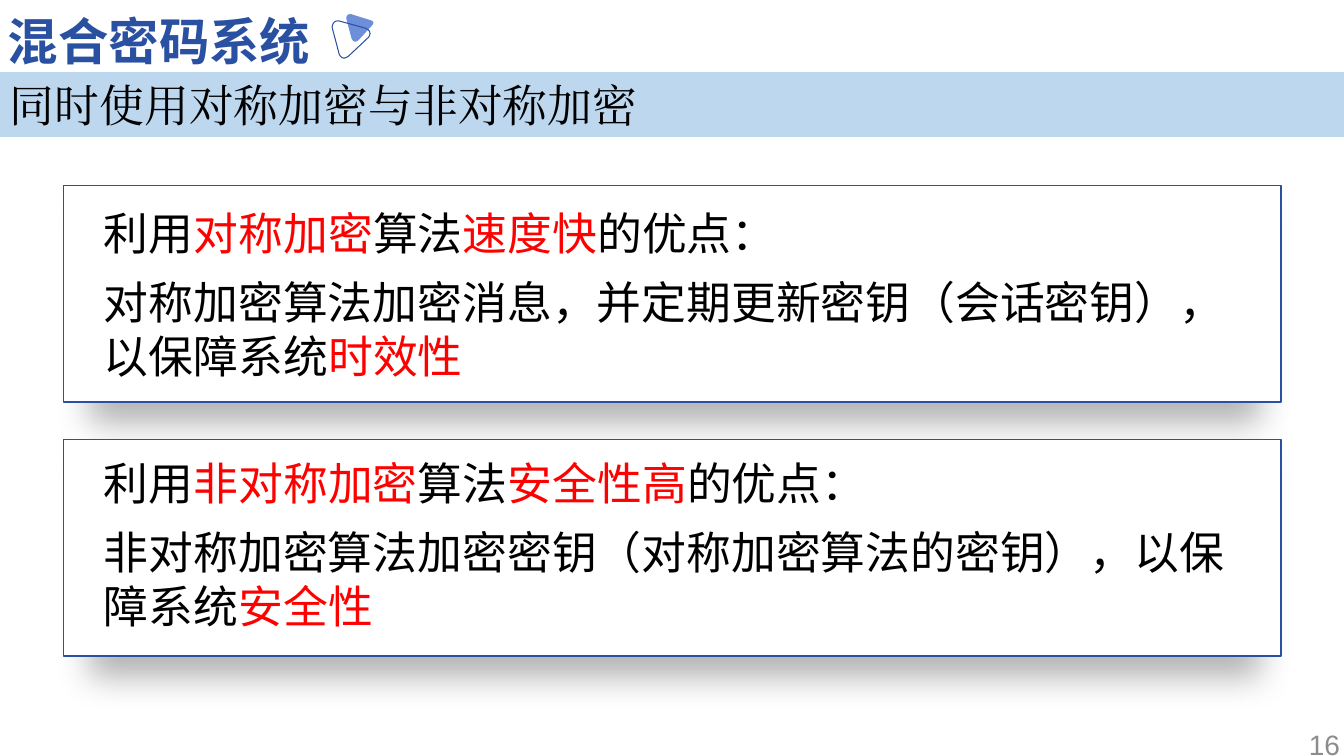
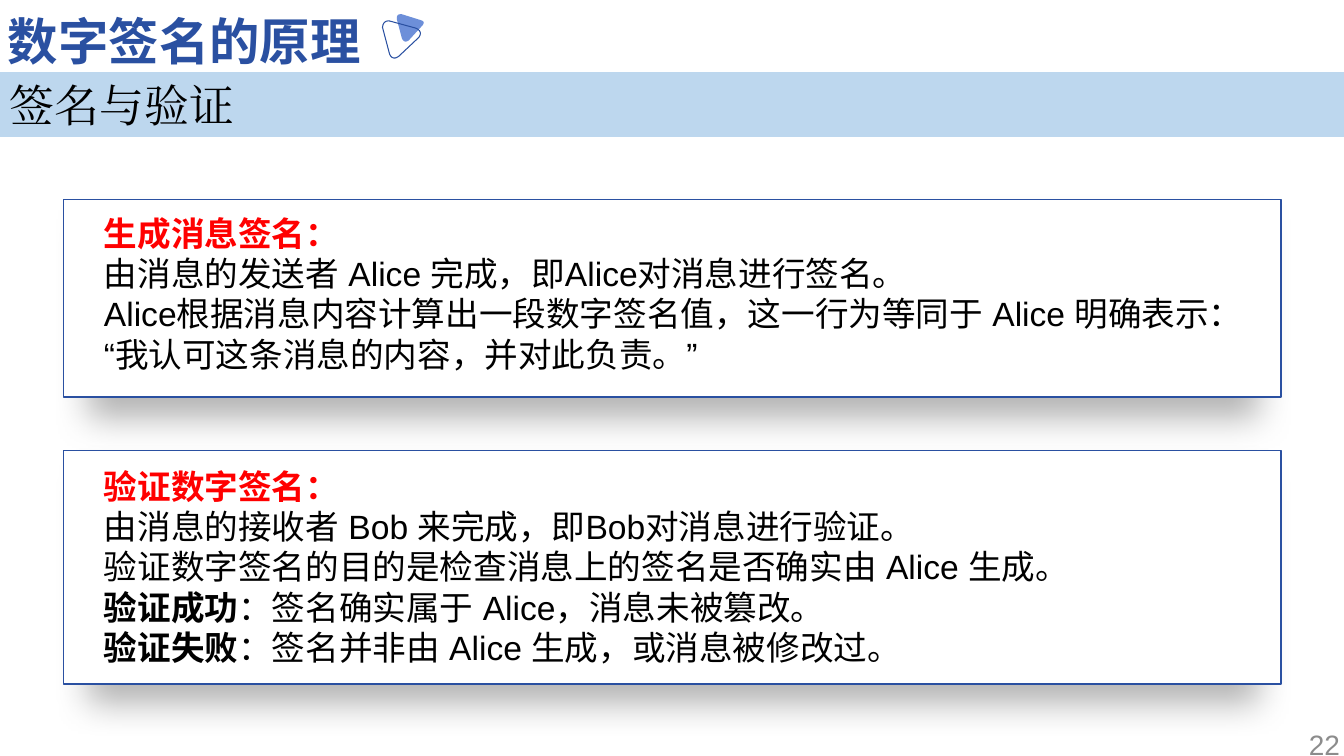
from dataclasses import dataclass
from typing import NamedTuple

from lxml import etree
from pptx import Presentation
from pptx import util as u
from pptx.dml.color import RGBColor
from pptx.enum import shapes, text
from pptx.oxml import ns

COLORS = {
    "title": "2A50A1",
    "accent": "6D8FD9",
    "band": "BDD7EE",
    "card": "FFFFFF",
    "body": "000000",
    "key": "FF0000",
    "number": "8C8C8C",
    "shadow": "000000",
}
SANS, SERIF = "Arial", "Times New Roman"
SLIDE_W, SLIDE_H = 33.87, 19.05
CARD_X, CARD_W, CARD_PAD = 1.6, 30.68, 1.02
TITLE_X, TITLE_CHAR = 0.2, 1.27

# Rounded triangles of the title mark: start, apex and end of each corner (cm)
Point = tuple[float, float]
Corner = tuple[Point, Point, Point]
MARK_FILLED: list[Corner] = [
    ((0.91, 1.02), (0.80, 1.10), (0.74, 0.97)),
    ((0.61, 0.48), (0.60, 0.34), (0.74, 0.36)),
    ((1.22, 0.51), (1.35, 0.55), (1.24, 0.66)),
]
MARK_OUTLINE: list[Corner] = [
    ((0.66, 1.42), (0.51, 1.53), (0.43, 1.37)),
    ((0.25, 0.69), (0.27, 0.51), (0.43, 0.53)),
    ((1.09, 0.71), (1.27, 0.79), (1.17, 0.94)),
]


class Run(NamedTuple):
    text: str
    color: str = "body"
    bold: bool = False


Para = list[Run]


@dataclass
class Card:
    top: float
    height: float
    pad_top: float
    size: int
    paras: list[Para]
    gap: float = 0


@dataclass
class Page:
    number: int
    title: str
    subtitle: str
    cards: list[Card]


def rgb(name: str) -> RGBColor:
    return RGBColor.from_string(COLORS[name])


def add_run(p, run: Run, size: float, font: str) -> None:
    r = p.add_run()
    r.text = run.text
    r.font.size = u.Pt(size)
    r.font.name = font
    r.font.bold = run.bold
    r.font.color.rgb = rgb(run.color)
    rpr = r.font._element
    rpr.set("lang", "zh-CN")
    latin = rpr.find(ns.qn("a:latin"))
    east = etree.Element(ns.qn("a:ea"), typeface=font)
    latin.addnext(east)


def fill_text(tf, paras: list[Para], size: float, font: str = SANS,
              gap: float = 0, align=text.PP_ALIGN.LEFT) -> None:
    tf.word_wrap = True
    for i, runs in enumerate(paras):
        p = tf.add_paragraph() if i else tf.paragraphs[0]
        p.alignment = align
        if i and gap:
            p.space_before = u.Pt(gap)
        for run in runs:
            add_run(p, run, size, font)


def add_text(s, x: float, y: float, w: float, h: float,
             paras: list[Para], size: float, **style) -> None:
    tf = s.shapes.add_textbox(u.Cm(x), u.Cm(y), u.Cm(w), u.Cm(h)).text_frame
    tf.margin_left = tf.margin_right = tf.margin_top = tf.margin_bottom = 0
    fill_text(tf, paras, size, **style)


def add_rect(s, x: float, y: float, w: float, h: float, fill: str):
    sp = s.shapes.add_shape(shapes.MSO_SHAPE.RECTANGLE,
                            u.Cm(x), u.Cm(y), u.Cm(w), u.Cm(h))
    sp.shadow.inherit = False
    sp.fill.solid()
    sp.fill.fore_color.rgb = rgb(fill)
    sp.line.fill.background()
    return sp


def set_line(sp, width: float) -> None:
    sp.line.color.rgb = rgb("title")
    sp.line.width = u.Pt(width)


def add_soft_shadow(sp) -> None:
    effects = sp._element.spPr.find(ns.qn("a:effectLst"))
    shadow = etree.SubElement(
        effects, ns.qn("a:outerShdw"), blurRad=str(u.Pt(25)),
        dist=str(u.Pt(16)), dir="5400000", sx="96000", sy="96000",
        algn="ctr", rotWithShape="0")
    color = etree.SubElement(shadow, ns.qn("a:srgbClr"), val=COLORS["shadow"])
    etree.SubElement(color, ns.qn("a:alpha"), val="30000")


def corner_points(corner: Corner, steps: int = 6) -> list[Point]:
    """Points along the curve that rounds one corner."""
    (ax, ay), (bx, by), (cx, cy) = corner
    points = []
    for i in range(steps + 1):
        t = i / steps
        a, b, c = (1 - t) ** 2, 2 * t * (1 - t), t ** 2
        points.append((a * ax + b * bx + c * cx, a * ay + b * by + c * cy))
    return points


def add_triangle(s, x: float, corners: list[Corner]):
    points = [(u.Cm(x + px), u.Cm(py))
              for corner in corners for px, py in corner_points(corner)]
    builder = s.shapes.build_freeform(*points[0])
    builder.add_line_segments(points[1:], close=True)
    sp = builder.convert_to_shape()
    sp.shadow.inherit = False
    return sp


def add_header(s, page: Page) -> None:
    # Page number
    add_text(s, 26.4, 18.34, 7.37, 0.7, [[Run(str(page.number), "number")]],
             20, align=text.PP_ALIGN.RIGHT)
    # Title and its mark
    add_text(s, TITLE_X, 0.25, 20, 1.4, [[Run(page.title, "title", True)]], 36)
    mark_x = TITLE_X + 0.3 + TITLE_CHAR * len(page.title)
    filled = add_triangle(s, mark_x, MARK_FILLED)
    filled.fill.solid()
    filled.fill.fore_color.rgb = rgb("accent")
    filled.line.fill.background()
    outline = add_triangle(s, mark_x, MARK_OUTLINE)
    outline.fill.background()
    set_line(outline, 0.75)
    # Subtitle band
    band = add_rect(s, 0, 1.82, SLIDE_W, 1.63, "band")
    band.text_frame.vertical_anchor = text.MSO_ANCHOR.MIDDLE
    fill_text(band.text_frame, [[Run(page.subtitle)]], 32, SERIF)


def add_card(s, card: Card) -> None:
    sp = add_rect(s, CARD_X, card.top, CARD_W, card.height, "card")
    set_line(sp, 1)
    add_soft_shadow(sp)
    add_text(s, CARD_X + CARD_PAD, card.top + card.pad_top,
             CARD_W - 2 * CARD_PAD, card.height - 2 * card.pad_top,
             card.paras, card.size, gap=card.gap)


def benefit_card(top: float, pad_top: float, method: str, strength: str,
                 usage: str, goal: str) -> Card:
    return Card(top, 5.46, pad_top, 32, [
        [Run("利用"), Run(method, "key"), Run("算法"),
         Run(strength, "key"), Run("的优点：")],
        [Run(usage), Run(goal, "key")],
    ], gap=11)


PAGES = [
    Page(16, "混合密码系统", "同时使用对称加密与非对称加密", [
        benefit_card(4.67, 0.51, "对称加密", "速度快",
                     "对称加密算法加密消息，并定期更新密钥（会话密钥），以保障系统",
                     "时效性"),
        benefit_card(11.07, 0.41, "非对称加密", "安全性高",
                     "非对称加密算法加密密钥（对称加密算法的密钥），以保障系统",
                     "安全性"),
    ]),
    Page(22, "数字签名的原理", "签名与验证", [
        Card(5.03, 4.98, 0.33, 24, [
            [Run("生成消息签名：", "key", True)],
            [Run("由消息的发送者 Alice 完成，即Alice对消息进行签名。")],
            [Run("Alice根据消息内容计算出一段数字签名值，这一行为等同于 Alice 明确表示：")],
            [Run("“我认可这条消息的内容，并对此负责。”")],
        ]),
        Card(11.35, 5.89, 0.38, 24, [
            [Run("验证数字签名：", "key", True)],
            [Run("由消息的接收者 Bob 来完成，即Bob对消息进行验证。")],
            [Run("验证数字签名的目的是检查消息上的签名是否确实由 Alice 生成。")],
            [Run("验证成功", bold=True), Run("：签名确实属于 Alice，消息未被篡改。")],
            [Run("验证失败", bold=True),
             Run("：签名并非由 Alice 生成，或消息被修改过。")],
        ]),
    ]),
]


def main() -> None:
    prs = Presentation()
    prs.slide_width, prs.slide_height = u.Cm(SLIDE_W), u.Cm(SLIDE_H)
    for page in PAGES:
        s = prs.slides.add_slide(prs.slide_layouts[6])
        add_header(s, page)
        for card in page.cards:
            add_card(s, card)
    prs.save("out.pptx")


if __name__ == "__main__":
    main()
